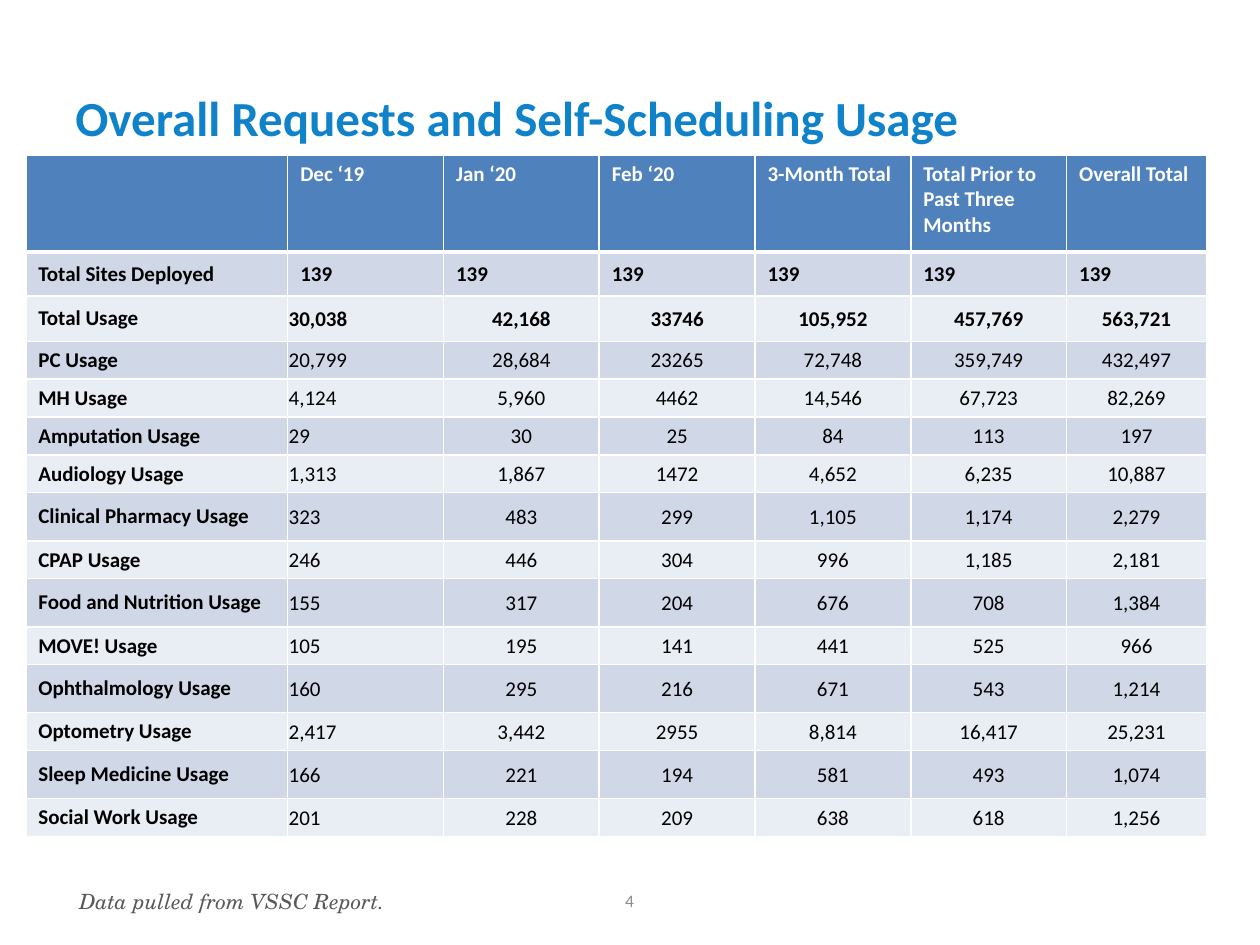
from lxml import etree
from pptx import Presentation
from pptx import util as u
from pptx.dml import color
from pptx.enum import text
from pptx.oxml import ns

HUES = {
    "title": "1082C9", "head": "4F81BD", "dark": "D0D8E8", "light": "E9EDF4",
    "white": "FFFFFF", "black": "000000", "page": "8C8C8C", "note": "595959",
}
COLS = [5.28] + [3.14] * 5 + [2.82]
SHORT, TALL = 0.71, 0.97
ROWS = [1.96, 0.89, 0.91] + [SHORT] * 4 + [TALL, SHORT] * 4
HEAD = ["", "Dec ‘19", "Jan ‘20", "Feb ‘20", "3-Month Total",
        "Total Prior to Past Three Months", "Overall Total"]
DATA = [
    ["Total Sites Deployed"] + ["139"] * 6,
    ["Total Usage", "30,038", "42,168", "33746", "105,952", "457,769", "563,721"],
    ["PC Usage", "20,799", "28,684", "23265", "72,748", "359,749", "432,497"],
    ["MH Usage", "4,124", "5,960", "4462", "14,546", "67,723", "82,269"],
    ["Amputation Usage", "29", "30", "25", "84", "113", "197"],
    ["Audiology Usage", "1,313", "1,867", "1472", "4,652", "6,235", "10,887"],
    ["Clinical Pharmacy Usage", "323", "483", "299", "1,105", "1,174", "2,279"],
    ["CPAP Usage", "246", "446", "304", "996", "1,185", "2,181"],
    ["Food and Nutrition Usage", "155", "317", "204", "676", "708", "1,384"],
    ["MOVE! Usage", "105", "195", "141", "441", "525", "966"],
    ["Ophthalmology Usage", "160", "295", "216", "671", "543", "1,214"],
    ["Optometry Usage", "2,417", "3,442", "2955", "8,814", "16,417", "25,231"],
    ["Sleep Medicine Usage", "166", "221", "194", "581", "493", "1,074"],
    ["Social Work Usage", "201", "228", "209", "638", "618", "1,256"],
]


def rgb(hue):
    return color.RGBColor.from_string(HUES[hue])


def write(frame, words, size=12, face="Calibri", hue="black",
          bold=False, slant=False, mid=False):
    para = frame.paragraphs[0]
    para.alignment = text.PP_ALIGN.CENTER if mid else text.PP_ALIGN.LEFT
    font = para.font
    if words:
        run = para.add_run()
        run.text = words
        font = run.font
    font.size, font.name = u.Pt(size), face
    font.bold, font.italic = bold, slant
    font.color.rgb = rgb(hue)


def label(slide, words, left, top, width, height, inset=None, **form):
    box = slide.shapes.add_textbox(u.Cm(left), u.Cm(top), u.Cm(width), u.Cm(height))
    frame = box.text_frame
    frame.word_wrap = True
    frame.vertical_anchor = text.MSO_ANCHOR.MIDDLE
    if inset is not None:
        frame.margin_left = frame.margin_right = u.Cm(inset)
        frame.margin_top = frame.margin_bottom = u.Cm(inset)
    write(frame, words, **form)


def edge(cell, top, base):
    props = cell._tc.get_or_add_tcPr()
    sides = [("lnL", 1), ("lnR", 1), ("lnT", top), ("lnB", base)]
    for spot, (side, width) in enumerate(sides):
        line = etree.Element(ns.qn("a:" + side), w=str(u.Pt(width)))
        fill = etree.SubElement(line, ns.qn("a:solidFill"))
        etree.SubElement(fill, ns.qn("a:srgbClr"), val=HUES["white"])
        props.insert(spot, line)


def style(cell, words, row, col):
    top = row == 0
    cell.fill.solid()
    cell.fill.fore_color.rgb = rgb("head" if top else "dark" if row % 2 else "light")
    cell.vertical_anchor = text.MSO_ANCHOR.TOP if top else text.MSO_ANCHOR.MIDDLE
    count = row > 1 and col > 0
    if count:
        cell.margin_left = cell.margin_right = cell.margin_top = u.Cm(0.02)
        cell.margin_bottom = 0
    write(cell.text_frame, words, hue="white" if top else "black",
          bold=row < 3 or col == 0, mid=count and col > 1)
    edge(cell, 3 if row == 1 else 1, 3 if top else 1)


def grid(slide):
    frame = slide.shapes.add_table(len(ROWS), len(COLS), u.Cm(0.52), u.Cm(3.12),
                                   u.Cm(sum(COLS)), u.Cm(sum(ROWS)))
    table = frame.table
    for col, width in zip(table.columns, COLS):
        col.width = u.Cm(width)
    for row, height in zip(table.rows, ROWS):
        row.height = u.Cm(height)
    for r, line in enumerate([HEAD] + DATA):
        for c, words in enumerate(line):
            style(table.cell(r, c), words, r, c)


def main():
    deck = Presentation()
    deck.slide_width, deck.slide_height = u.Cm(25.4), u.Cm(19.05)
    slide = deck.slides.add_slide(deck.slide_layouts[6])
    label(slide, "Overall Requests and Self-Scheduling Usage", 1.27, 0.76, 22.86, 3.18,
          size=28, hue="title", bold=True)
    label(slide, "4", 9.73, 17.65, 5.92, 1.02, size=10, hue="page", mid=True)
    grid(slide)
    label(slide, "Data pulled from VSSC Report.", 1.6, 17.35, 22.58, 1.63, inset=0,
          face="TeX Gyre Schola", hue="note", slant=True)
    deck.save("out.pptx")


if __name__ == "__main__":
    main()
